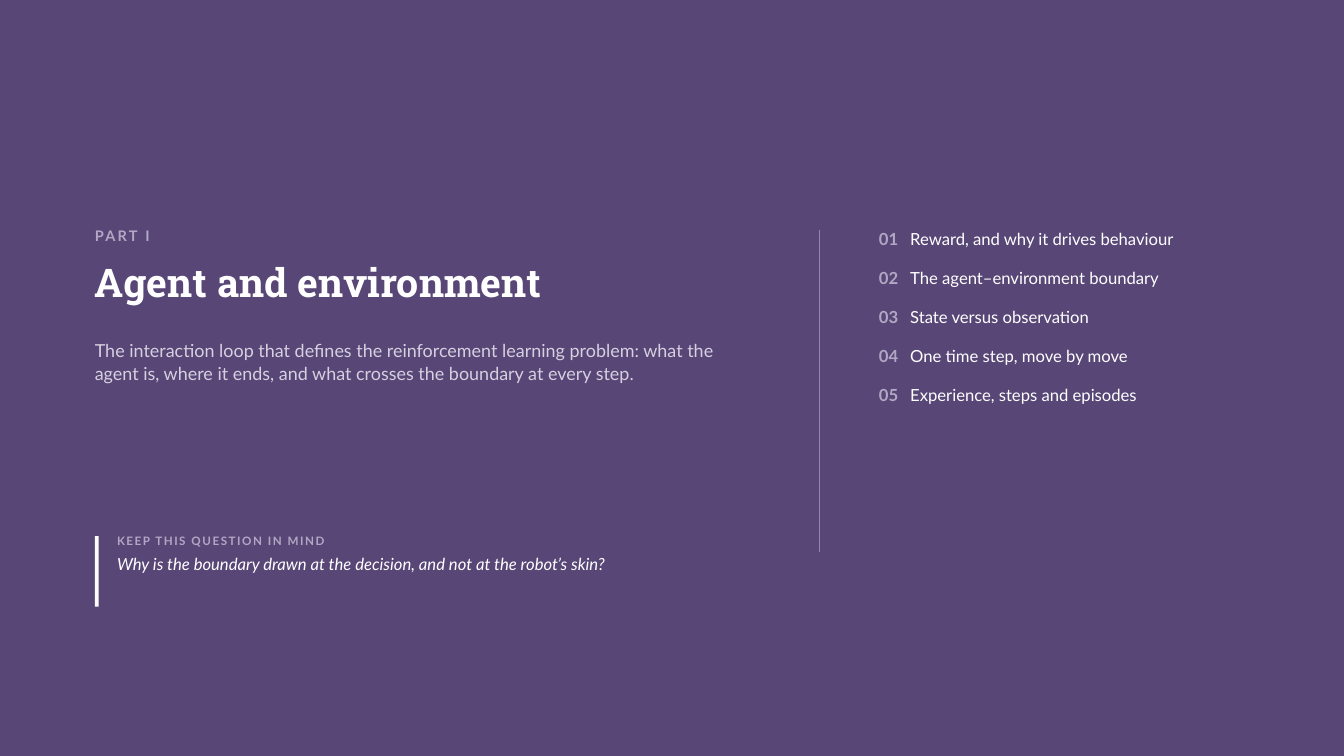
from dataclasses import dataclass

from lxml import etree
from pptx import Presentation
from pptx import util as u
from pptx.dml.color import RGBColor
from pptx.enum import shapes
from pptx.oxml import ns

WHITE, MAUVE, PALE, RULE, PLUM = "FFFFFF", "B2A7C4", "D6D0E0", "9486AC", "574676"
LEFT, TOP = 2.39, 5.79
TAB = 0.79


@dataclass
class Box:
    """A text area, in centimetres."""
    x: float
    y: float
    w: float
    h: float


@dataclass
class Topic:
    num: str
    name: str


TOPICS = [Topic(f"{n:02}", name) for n, name in enumerate([
    "Reward, and why it drives behaviour",
    "The agent–environment boundary",
    "State versus observation",
    "One time step, move by move",
    "Experience, steps and episodes",
], 1)]


def paint(fill, tint: str) -> None:
    fill.solid()
    fill.fore_color.rgb = RGBColor.from_string(tint)


def frame(slide, box: Box):
    """Add a wrapping text box without margins."""
    area = slide.shapes.add_textbox(*map(u.Cm, (box.x, box.y, box.w, box.h)))
    body = area.text_frame
    body.word_wrap = True
    body.margin_left = body.margin_right = body.margin_top = body.margin_bottom = 0
    return body


def line(body, lead: float, gap: float = 0):
    """Return the next paragraph, with its line height and space before in points."""
    first = body.paragraphs[0]
    para = body.add_paragraph() if first.runs else first
    para.line_spacing = u.Pt(lead)
    if gap:
        para.space_before = u.Pt(gap)
    return para


def write(para, words: str, *, size: float, tint: str = WHITE, face: str = "Lato",
          bold: bool = False, slant: bool = False, track: float = 0) -> None:
    run = para.add_run()
    run.text = words
    font = run.font
    font.name, font.size, font.bold, font.italic = face, u.Pt(size), bold, slant
    paint(font.fill, tint)
    if track:
        run._r.get_or_add_rPr().set("spc", str(round(track * 100)))


def add_tab(para, stop: float) -> None:
    stops = etree.SubElement(para._p.get_or_add_pPr(), ns.qn("a:tabLst"))
    etree.SubElement(stops, ns.qn("a:tab"), pos=str(u.Cm(stop)), algn="l")


def add_bar(slide, box: Box, tint: str) -> None:
    bar = slide.shapes.add_shape(shapes.MSO_SHAPE.RECTANGLE,
                                 *map(u.Cm, (box.x, box.y, box.w, box.h)))
    bar.shadow.inherit = False
    paint(bar.fill, tint)
    bar.line.fill.background()


def add_rule(slide, x: float, top: float, end: float) -> None:
    rule = slide.shapes.add_connector(shapes.MSO_CONNECTOR.STRAIGHT,
                                      *map(u.Cm, (x, top, x, end)))
    paint(rule.line.fill, RULE)
    rule.line.width = u.Pt(0.75)
    etree.SubElement(rule._element.spPr, ns.qn("a:effectLst"))


def main() -> None:
    deck = Presentation()
    deck.slide_width, deck.slide_height = u.Cm(33.87), u.Cm(19.05)
    slide = deck.slides.add_slide(deck.slide_layouts[6])
    paint(slide.background.fill, PLUM)

    part = frame(slide, Box(LEFT, TOP, 7.62, 0.66))
    write(line(part, 10.4), "PART I", size=10.4, tint=MAUVE, bold=True, track=1.6)

    title = frame(slide, Box(LEFT, 6.65, 17.53, 1.27))
    write(line(title, 29.9), "Agent and environment", size=28.2,
          face="Roboto Slab", bold=True)

    intro = frame(slide, Box(LEFT, 8.53, 16.51, 1.27))
    write(line(intro, 16.4),
          "The interaction loop that defines the reinforcement learning problem: "
          "what the agent is, where it ends, and what crosses the boundary at every step.",
          size=12.8, tint=PALE)

    add_bar(slide, Box(LEFT, 13.51, 0.1, 1.78), WHITE)
    query = frame(slide, Box(2.95, 13.51, 16, 1.88))
    write(line(query, 8.3), "KEEP THIS QUESTION IN MIND", size=8.3, tint=MAUVE,
          bold=True, track=1.1)
    write(line(query, 14, gap=5),
          "Why is the boundary drawn at the decision, and not at the robot’s skin?",
          size=11.9, slant=True)

    add_rule(slide, 20.64, TOP, 13.92)
    agenda = frame(slide, Box(22.15, TOP, 9.4, 8.13))
    for i, topic in enumerate(TOPICS):
        para = line(agenda, 13.8, gap=14 if i else 0)
        add_tab(para, TAB)
        write(para, topic.num + "\t", size=11.9, tint=MAUVE, bold=True)
        write(para, topic.name, size=11.9)

    deck.save("out.pptx")


if __name__ == "__main__":
    main()
